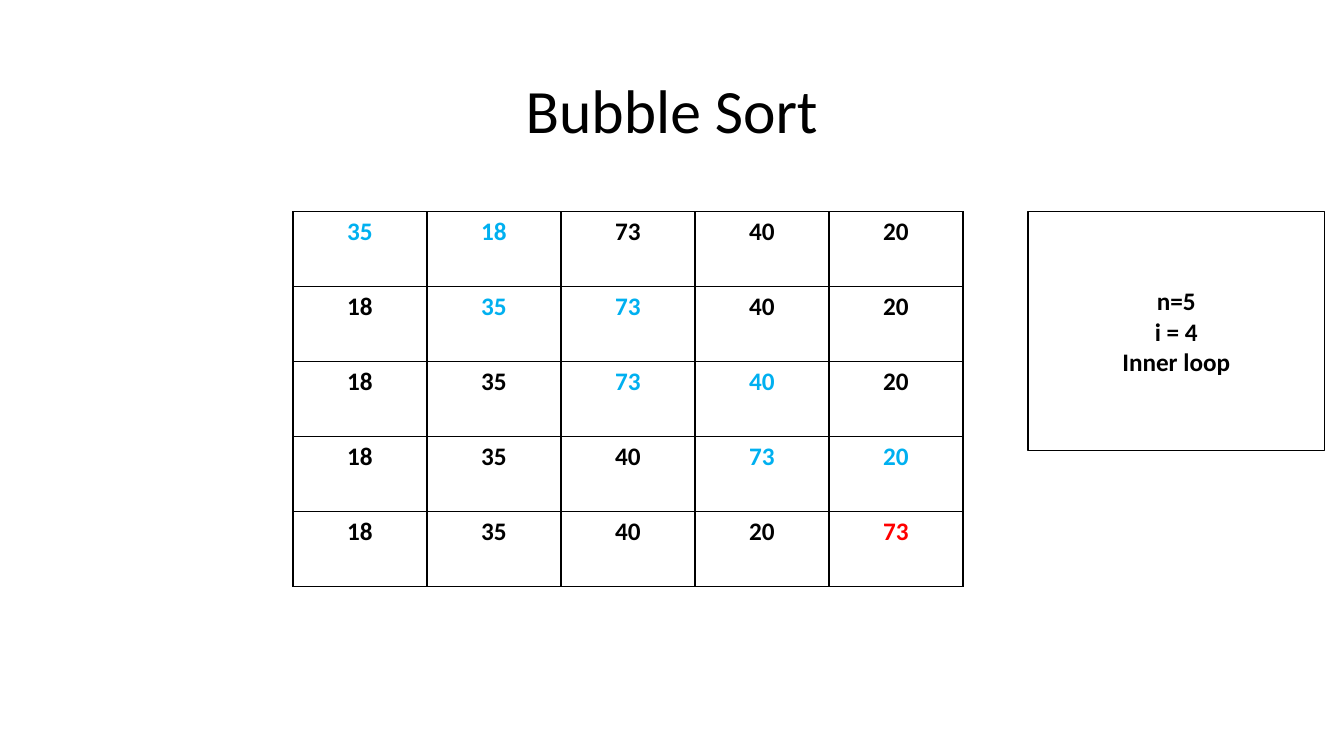
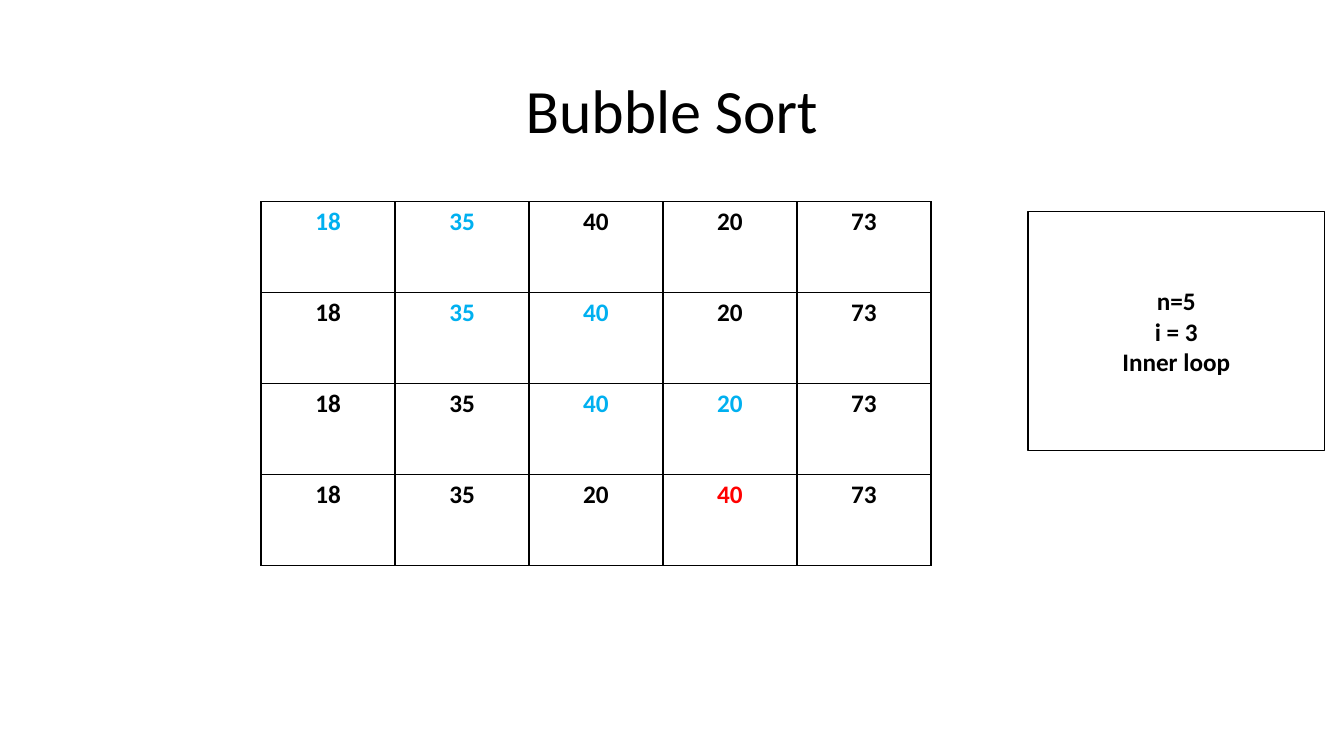
"""Build two slides that trace the passes of a bubble sort."""
import dataclasses

import lxml.etree
import pptx
import pptx.dml.color
import pptx.enum.shapes
import pptx.enum.text
import pptx.oxml.ns
import pptx.util

Pt = pptx.util.Pt
qn = pptx.oxml.ns.qn


@dataclasses.dataclass(frozen=True)
class Theme:
    """Colours, type sizes and line width shared by the slides."""
    font: str = "Calibri"
    ink: str = "000000"
    paper: str = "FFFFFF"
    compared: str = "00B0F0"
    settled: str = "FF0000"
    title_size: int = 44
    body_size: int = 18
    line: int = 1


THEME = Theme()
VALUES = [35, 18, 73, 40, 20]
COLUMN_WIDTH = 95.7
PASSES = [
    {"i": 4, "left": 209.3, "top": 151.2, "row_height": 53.5},
    {"i": 3, "left": 186.5, "top": 144, "row_height": 65},
]


def rgb(value):
    """Return the colour object for a hex string."""
    return pptx.dml.color.RGBColor.from_string(value)


def fill_solid(target, color):
    """Give a shape or cell a solid fill."""
    target.fill.solid()
    target.fill.fore_color.rgb = rgb(color)


def write(tf, lines, color=THEME.ink, size=THEME.body_size, bold=True, spacing=None):
    """Write centred lines into a text frame."""
    tf.word_wrap = True
    for n, line in enumerate(lines):
        p = tf.add_paragraph() if n else tf.paragraphs[0]
        p.alignment = pptx.enum.text.PP_ALIGN.CENTER
        p.line_spacing = spacing
        r = p.add_run()
        r.text = line
        for name, value in {"name": THEME.font, "size": Pt(size), "bold": bold}.items():
            setattr(r.font, name, value)
        r.font.color.rgb = rgb(color)


def add_title(s, text):
    """Add the slide title."""
    sp = s.shapes.add_textbox(Pt(66), Pt(28.8), Pt(828), Pt(104.4))
    sp.text_frame.vertical_anchor = pptx.enum.text.MSO_ANCHOR.MIDDLE
    write(sp.text_frame, [text], size=THEME.title_size, bold=False, spacing=0.9)


def add_note(s, lines):
    """Add the outlined box with the loop state."""
    sp = s.shapes.add_shape(pptx.enum.shapes.MSO_SHAPE.RECTANGLE,
                            Pt(734.4), Pt(151.2), Pt(211.7), Pt(170.6))
    sp.shadow.inherit = False
    fill_solid(sp, THEME.paper)
    sp.line.color.rgb = rgb(THEME.ink)
    sp.line.width = Pt(THEME.line)
    sp.text_frame.vertical_anchor = pptx.enum.text.MSO_ANCHOR.MIDDLE
    write(sp.text_frame, lines)


def outline_cell(cell):
    """Draw a line on all four sides of a cell."""
    props = cell._tc.get_or_add_tcPr()
    for side in ("a:lnL", "a:lnR", "a:lnT", "a:lnB"):
        ln = lxml.etree.SubElement(props, qn(side), w=str(Pt(THEME.line)))
        solid = lxml.etree.SubElement(ln, qn("a:solidFill"))
        lxml.etree.SubElement(solid, qn("a:srgbClr"), val=THEME.ink)


def trace_pass(values, i):
    """Return the list before each of i comparisons and after the last."""
    rows = [list(values)]
    for j in range(i):
        row = list(rows[-1])
        row[j:j + 2] = sorted(row[j:j + 2])
        rows.append(row)
    return rows


def cell_color(row, column, i):
    """Return the colour of a value in the trace of a pass."""
    if row == i:
        return THEME.settled if column == i else THEME.ink
    return THEME.compared if column in (row, row + 1) else THEME.ink


def add_trace(s, rows, i, left, top, row_height):
    """Add the table of list states during one pass."""
    columns = len(rows[0])
    table = s.shapes.add_table(len(rows), columns, Pt(left), Pt(top),
                               Pt(COLUMN_WIDTH * columns), Pt(row_height * len(rows))).table
    table.first_row = table.horz_banding = False
    for column in table.columns:
        column.width = Pt(COLUMN_WIDTH)
    for r, values in enumerate(rows):
        table.rows[r].height = Pt(row_height)
        for c, value in enumerate(values):
            cell = table.cell(r, c)
            outline_cell(cell)
            fill_solid(cell, THEME.paper)
            write(cell.text_frame, [str(value)], cell_color(r, c, i))


def main():
    """Build and save the presentation."""
    prs = pptx.Presentation()
    prs.slide_width, prs.slide_height = Pt(960), Pt(540)
    values = VALUES
    for step in PASSES:
        s = prs.slides.add_slide(prs.slide_layouts[6])
        rows = trace_pass(values, step["i"])
        add_title(s, "Bubble Sort")
        add_trace(s, rows, **step)
        add_note(s, ["n=5", f"i = {step['i']}", "Inner loop"])
        values = rows[-1]
    prs.save("out.pptx")


if __name__ == "__main__":
    main()
